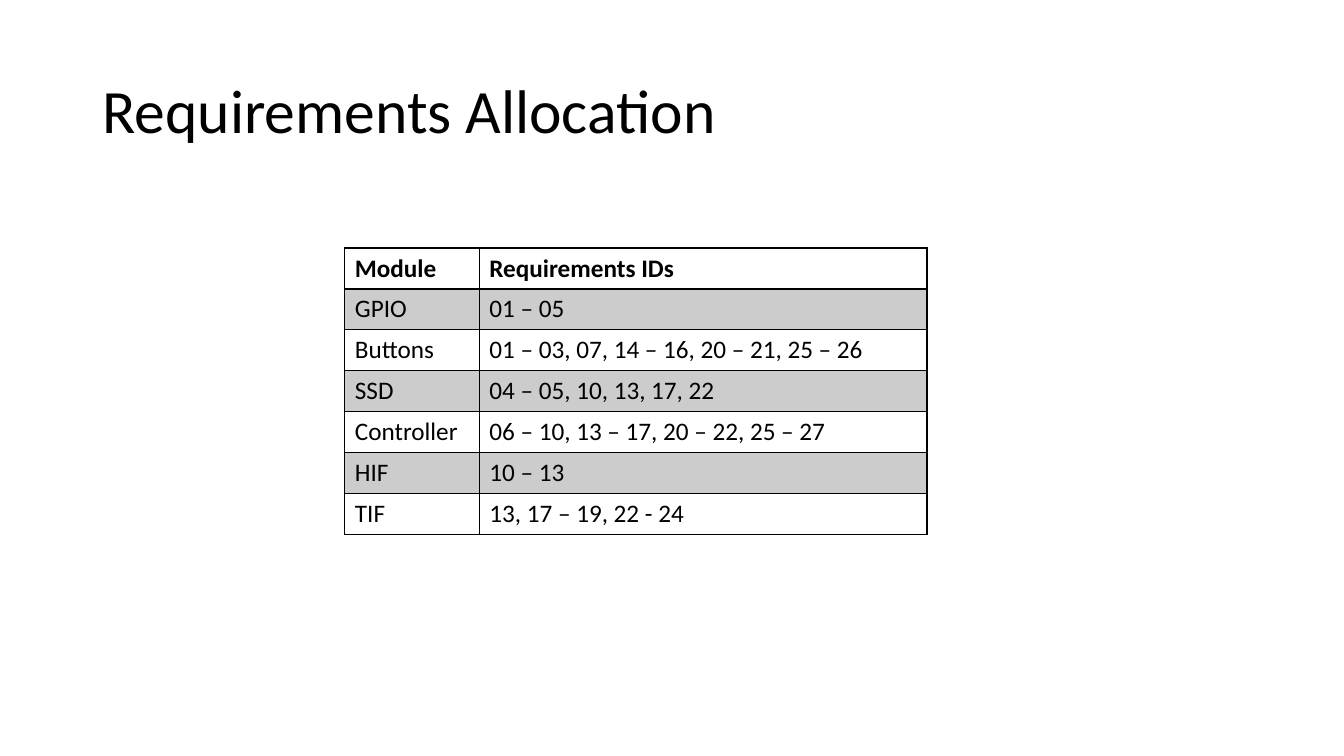
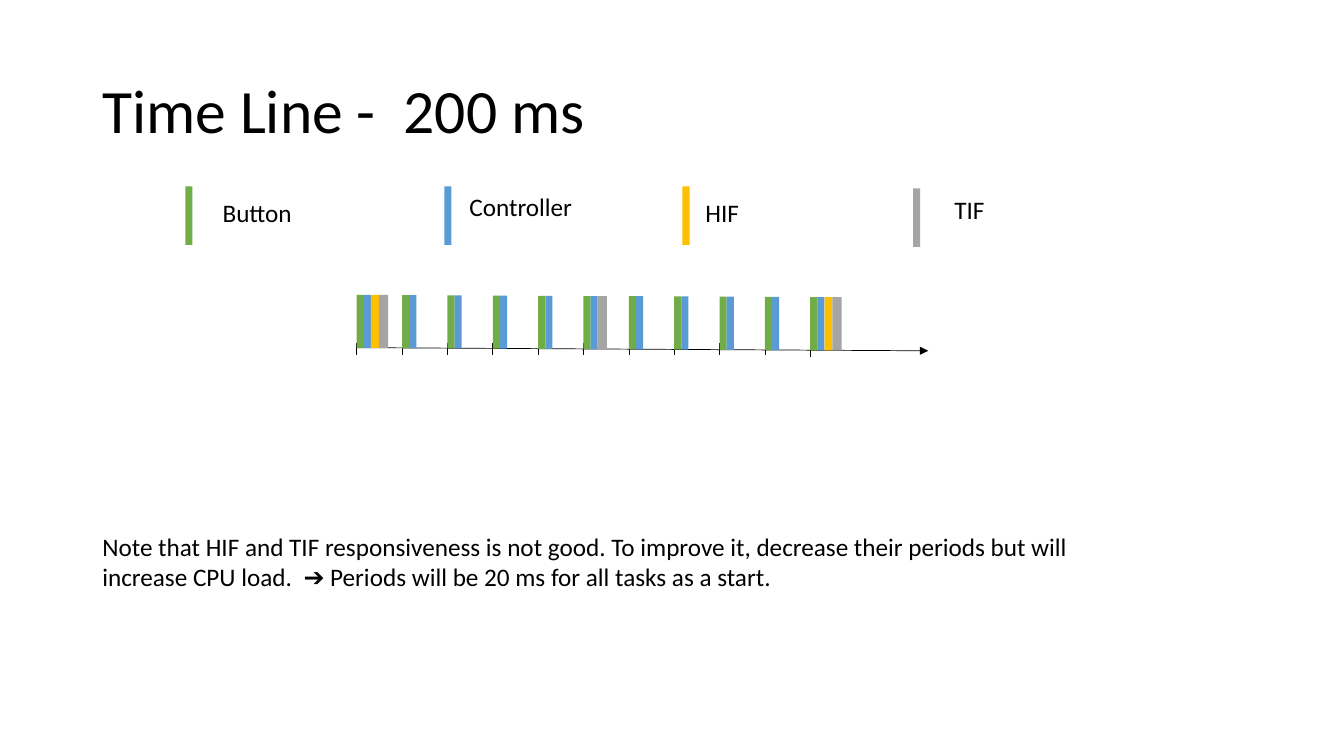
from lxml.etree import SubElement
from pptx import Presentation
from pptx.dml.color import RGBColor
from pptx.enum.shapes import MSO_CONNECTOR as Connector, MSO_SHAPE as Preset
from pptx.enum.text import MSO_ANCHOR as Anchor
from pptx.oxml.ns import qn
from pptx.util import Cm, Pt

BLACK, BAND = "000000", "CCCCCC"
GREEN, BLUE, YELLOW, GREY = "70AD47", "5B9BD5", "FFC000", "A5A5A5"


def rgb(value):
    return RGBColor.from_string(value)


def write(frame, text, size=18, bold=False, color=BLACK, spacing=1.0,
          anchor=Anchor.TOP):
    """Fill a text frame with one formatted paragraph."""
    frame.word_wrap = True
    frame.vertical_anchor = anchor
    paragraph = frame.paragraphs[0]
    paragraph.line_spacing = spacing
    run = paragraph.add_run()
    run.text = text
    run.font.name = "Calibri"
    run.font.size = Pt(size)
    run.font.bold = bold
    run.font.color.rgb = rgb(color)


class Deck:
    """Holds the shared style and the slide being built."""

    def __init__(self):
        self.presentation = Presentation()
        self.presentation.slide_width = Cm(33.87)
        self.presentation.slide_height = Cm(19.05)
        self.slide = None

    def new_slide(self, title):
        layout = self.presentation.slide_layouts[6]
        self.slide = self.presentation.slides.add_slide(layout)
        self.text(title, 2.33, 1.01, 29.21, 3.68, size=44, spacing=0.9,
                  anchor=Anchor.MIDDLE)

    def text(self, text, left, top, width, height, **style):
        box = self.slide.shapes.add_textbox(
            Cm(left), Cm(top), Cm(width), Cm(height))
        write(box.text_frame, text, **style)

    def bar(self, left, top, width, height, color):
        shape = self.slide.shapes.add_shape(
            Preset.RECTANGLE, Cm(left), Cm(top), Cm(width), Cm(height))
        shape.shadow.inherit = False
        shape.fill.solid()
        shape.fill.fore_color.rgb = rgb(color)
        shape.line.fill.background()

    def line(self, x1, y1, x2, y2, arrow=False):
        connector = self.slide.shapes.add_connector(
            Connector.STRAIGHT, Cm(x1), Cm(y1), Cm(x2), Cm(y2))
        connector.line.color.rgb = rgb(BLACK)
        connector.line.width = Pt(0.5)
        if arrow:
            SubElement(connector.line._get_or_add_ln(), qn("a:tailEnd"),
                       type="triangle")
        SubElement(connector._element.spPr, qn("a:effectLst"))

    def table(self, rows, left, top, widths, row_height):
        frame = self.slide.shapes.add_table(
            len(rows), len(widths), Cm(left), Cm(top),
            Cm(sum(widths)), Cm(row_height * len(rows)))
        table = frame.table
        table.horz_banding = False
        for column, width in zip(table.columns, widths):
            column.width = Cm(width)
        for row_index, values in enumerate(rows):
            for column_index, value in enumerate(values):
                cell = table.cell(row_index, column_index)
                write(cell.text_frame, value, bold=row_index == 0)
                self.borders(cell, bottom=2 if row_index == 0 else 1,
                             top=2 if row_index == 1 else 1)
                if row_index % 2:
                    cell.fill.solid()
                    cell.fill.fore_color.rgb = rgb(BAND)
                else:
                    cell.fill.background()

    @staticmethod
    def borders(cell, top, bottom):
        properties = cell._tc.get_or_add_tcPr()
        for side, width in (("L", 1), ("R", 1), ("T", top), ("B", bottom)):
            border = SubElement(properties, qn("a:ln" + side),
                                w=str(Pt(width)))
            fill = SubElement(border, qn("a:solidFill"))
            SubElement(fill, qn("a:srgbClr"), val=BLACK)


deck = Deck()

# Requirements table
deck.new_slide("Requirements Allocation")
deck.table([
    ("Module", "Requirements IDs"),
    ("GPIO", "01 – 05"),
    ("Buttons", "01 – 03, 07, 14 – 16, 20 – 21, 25 – 26"),
    ("SSD", "04 – 05, 10, 13, 17, 22"),
    ("Controller", "06 – 10, 13 – 17, 20 – 22, 25 – 27"),
    ("HIF", "10 – 13"),
    ("TIF", "13, 17 – 19, 22 - 24"),
], left=8.69, top=6.25, widths=(3.39, 11.28), row_height=1.03)

# Time line: axis with one tick per period
deck.new_slide("Time Line -  200 ms")
PERIODS = 10
AXIS_LEFT, LAST_TICK = 8.99, 20.42
PITCH = (LAST_TICK - AXIS_LEFT) / PERIODS
deck.line(AXIS_LEFT, 8.76, 23.39, 8.84, arrow=True)
for period in range(PERIODS + 1):
    x = AXIS_LEFT + period * PITCH
    deck.line(x, 8.64, x, 8.99 if period == PERIODS else 8.94)

# Legend: colour, bar left and top, label, label left and top
for color, bar_left, bar_top, label, label_left, label_top in (
        (GREEN, 4.67, 4.7, "Button", 5.36, 4.85),
        (BLUE, 11.2, 4.7, "Controller", 11.58, 4.7),
        (YELLOW, 17.2, 4.7, "HIF", 17.53, 4.85),
        (GREY, 23.01, 4.75, "TIF", 23.8, 4.78)):
    deck.bar(bar_left, bar_top, 0.18, 1.47, color)
    deck.text(label, label_left, label_top, 4.29, 1.03)

# Tasks run side by side from each tick: colour, width, periods between runs
TASKS = ((GREEN, 0.18, 1), (BLUE, 0.18, 1), (YELLOW, 0.2, 10), (GREY, 0.23, 5))
for period in range(PERIODS + 1):
    x = AXIS_LEFT + period * PITCH
    for color, width, interval in TASKS:
        if period % interval == 0:
            deck.bar(x, 7.43 + 0.01 * period * 0.6, width, 1.34, color)
            x += width

# Conclusion
deck.text("Note that HIF and TIF responsiveness is not good. To improve it, "
          "decrease their periods but will increase CPU load.  ➔ Periods will "
          "be 20 ms for all tasks as a start.", 2.33, 13.26, 26.37, 1.8)

deck.presentation.save("out.pptx")
